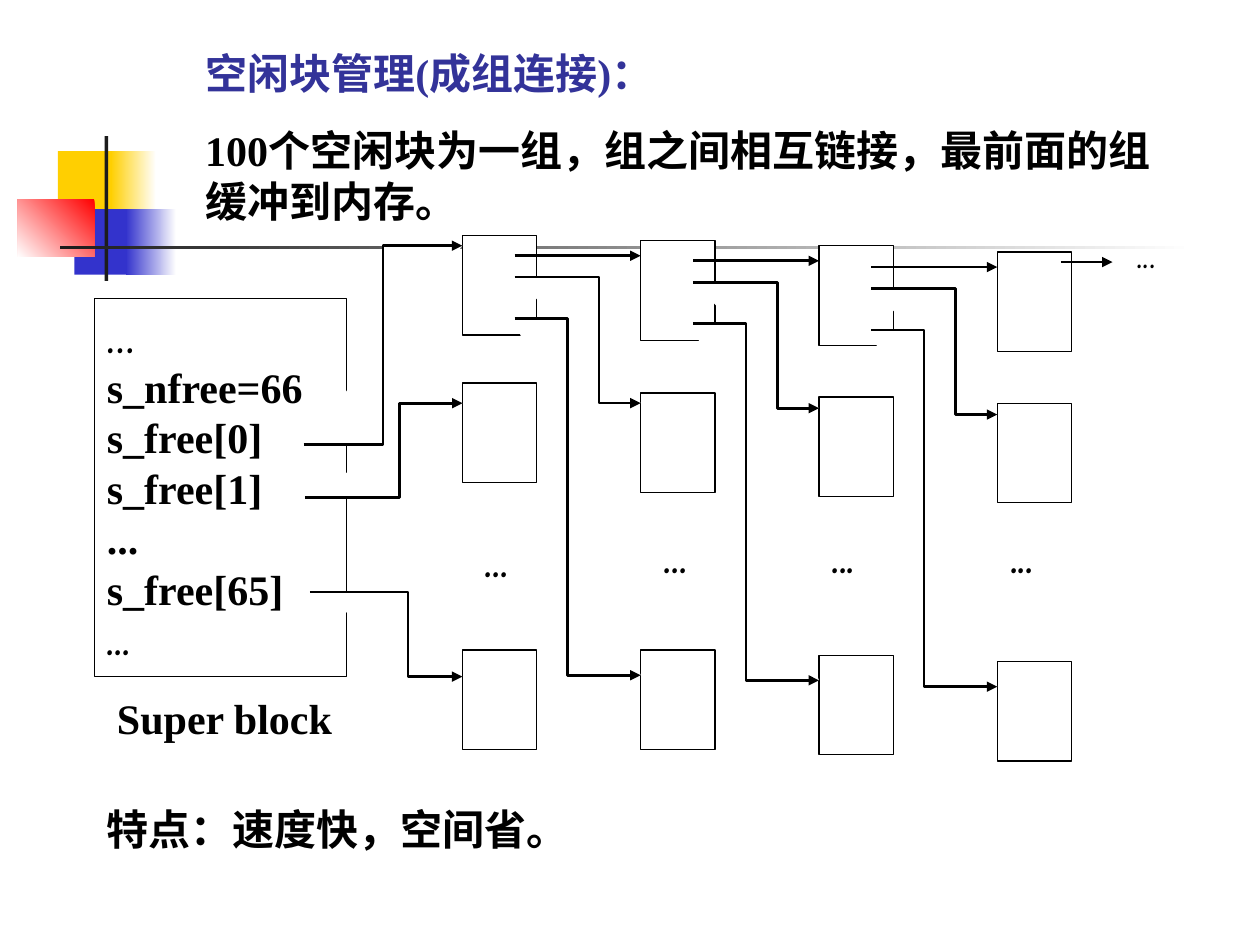
from dataclasses import dataclass

from lxml.etree import SubElement
from pptx import Presentation
from pptx.dml.color import RGBColor
from pptx.enum.shapes import MSO_CONNECTOR, MSO_SHAPE
from pptx.enum.text import MSO_ANCHOR, MSO_AUTO_SIZE, PP_ALIGN
from pptx.oxml.ns import qn
from pptx.util import Inches, Pt


@dataclass(frozen=True)
class Theme:
    ink: str = "000000"
    paper: str = "FFFFFF"
    heading: str = "333399"
    yellow: str = "FFCF01"
    blue: str = "3333CC"
    red: str = "FF0000"
    charcoal: str = "1C1C1C"
    serif: str = "Times New Roman"
    casual: str = "Comic Neue"
    size: float = 24
    outline: float = 0.75
    link: float = 1.5


def write(frame, *lines, color, size, font, bold=True, anchor=MSO_ANCHOR.TOP):
    frame.word_wrap = True
    frame.auto_size = MSO_AUTO_SIZE.NONE
    frame.vertical_anchor = anchor
    for index, line in enumerate(lines):
        text, face = line if isinstance(line, tuple) else (line, font)
        paragraph = frame.paragraphs[0] if index == 0 else frame.add_paragraph()
        paragraph.alignment = PP_ALIGN.LEFT
        run = paragraph.add_run()
        run.text = text
        run.font.name = face
        run.font.size = Pt(size)
        run.font.bold = bold
        run.font.color.rgb = RGBColor.from_string(color)


class SlideBuilder:
    def __init__(self, slide, theme):
        self.slide = slide
        self.theme = theme

    def format(self, **changes):
        base = {"color": self.theme.ink, "size": self.theme.size, "font": self.theme.serif}
        return base | changes

    def title(self, text, left, top, width, height):
        heading = self.slide.shapes.title
        heading.left, heading.top = Inches(left), Inches(top)
        heading.width, heading.height = Inches(width), Inches(height)
        write(heading.text_frame, text, **self.format(color=self.theme.heading))

    def text(self, text, left, top, width, height, **changes):
        caption = self.slide.shapes.add_textbox(
            Inches(left), Inches(top), Inches(width), Inches(height))
        write(caption.text_frame, text, **self.format(**changes))
        return caption

    def label(self, text, left, top, width, height, **changes):
        caption = self.text(text, left, top, width, height, **changes)
        caption.fill.solid()
        caption.fill.fore_color.rgb = RGBColor.from_string(self.theme.paper)

    def rectangle(self, left, top, width, height, fill):
        area = self.slide.shapes.add_shape(
            MSO_SHAPE.RECTANGLE, Inches(left), Inches(top), Inches(width), Inches(height))
        area.shadow.inherit = False
        area.line.fill.background()
        area.fill.solid()
        area.fill.fore_color.rgb = RGBColor.from_string(fill)
        return area

    def fade(self, left, top, width, height, start, end, angle=180):
        area = self.rectangle(left, top, width, height, start)
        area.fill.gradient()
        area.fill.gradient_angle = angle
        for stop, color, position in zip(area.fill.gradient_stops, (start, end), (0, 1)):
            stop.color.rgb = RGBColor.from_string(color)
            stop.position = position

    def block(self, left, top, width=0.59, height=0.79):
        area = self.rectangle(left, top, width, height, self.theme.paper)
        self.stroke(area, self.theme.outline)
        return area

    def panel(self, lines, left, top, width, height):
        area = self.block(left, top, width, height)
        write(area.text_frame, *lines, **self.format(anchor=MSO_ANCHOR.MIDDLE))

    def stroke(self, target, weight):
        target.line.color.rgb = RGBColor.from_string(self.theme.ink)
        target.line.width = Pt(weight)

    def point(self, target):
        self.stroke(target, self.theme.link)
        SubElement(target.line._get_or_add_ln(), qn("a:tailEnd"), type="triangle")

    def arrow(self, start, end, y):
        link = self.slide.shapes.add_connector(
            MSO_CONNECTOR.STRAIGHT, Inches(start), Inches(y), Inches(end), Inches(y))
        self.point(link)
        SubElement(link._element.spPr, qn("a:effectLst"))

    def elbow(self, start, start_y, bend, end, end_y):
        route = [(bend, start_y), (bend, end_y), (end, end_y)]
        outline = self.slide.shapes.build_freeform(Inches(start), Inches(start_y))
        outline.add_line_segments([(Inches(x), Inches(y)) for x, y in route], close=False)
        link = outline.convert_to_shape()
        link.shadow.inherit = False
        link.fill.solid()
        link.fill.fore_color.rgb = RGBColor.from_string(self.theme.paper)
        self.point(link)


def draw_ornament(page):
    theme = page.theme
    page.rectangle(0.46, 1.2, 0.48, 0.52, theme.yellow)
    page.fade(0.88, 1.2, 0.36, 0.52, theme.paper, theme.yellow)
    page.rectangle(0.59, 1.66, 0.46, 0.52, theme.blue)
    page.fade(1, 1.66, 0.4, 0.52, theme.paper, theme.blue)
    page.fade(0.14, 1.58, 0.61, 0.46, theme.red, theme.paper, angle=225)
    page.rectangle(0.83, 1.08, 0.03, 1.15, theme.charcoal)
    page.fade(0.48, 1.95, 9, 0.03, theme.paper, theme.charcoal)


def draw_super_block(page):
    casual = page.theme.casual
    page.panel([("…", casual), "s_nfree=66", "s_free[0]", "s_free[1]", "...",
                "s_free[65]", ("...", casual)], 0.75, 2.37, 2, 3)
    page.label("Super block", 0.83, 5.45, 1.92, 0.5)


def draw_groups(page):
    first, pitch = 3.67, 1.415
    group_tops = [(1.87, 3.04, 5.16), (1.91, 3.12, 5.16), (1.95, 3.15, 5.2), (2, 3.2, 5.25)]
    super_links = [(2.41, 3.53, 3.04, 1.95), (2.42, 3.95, 3.17, 3.2), (2.46, 4.7, 3.24, 5.37)]
    link_levels = [2.03, 2.07, 2.12]
    dots = [(3.75, 4.2), (5.17, 4.17), (6.5, 4.17), (7.92, 4.17)]

    for index, (tops, (dots_left, dots_top)) in enumerate(zip(group_tops, dots)):
        left = first + index * pitch
        for top in tops:
            page.block(left, top)
        page.label("...", dots_left, dots_top, 0.58, 0.5, font=page.theme.casual)
        if index == 0:
            for start, start_y, bend, end_y in super_links:
                page.elbow(start, start_y, bend, left, end_y)
        else:
            level, start = link_levels[index - 1], left - 1
            page.arrow(start, left, level)
            page.elbow(start, level + 0.17, start + 0.67, left, level + 1.17)
            page.elbow(start, level + 0.5, start + 0.42, left, level + 3.33)

    page.arrow(8.42, 8.83, 2.08)
    page.text("...", 8.92, 1.75, 0.58, 0.5, font=page.theme.casual, bold=False)


def main():
    deck = Presentation()
    deck.slide_width, deck.slide_height = Inches(10), Inches(7.5)
    page = SlideBuilder(deck.slides.add_slide(deck.slide_layouts[5]), Theme())
    draw_ornament(page)
    page.title("空闲块管理(成组连接)：", 1.53, 0.33, 7.8, 0.55)
    page.text("100个空闲块为一组，组之间相互链接，最前面的组缓冲到内存。", 1.53, 0.94, 7.8, 0.95)
    draw_super_block(page)
    draw_groups(page)
    page.label("特点：速度快，空间省。", 0.75, 6.33, 7.83, 0.5)
    deck.save("out.pptx")


if __name__ == "__main__":
    main()
